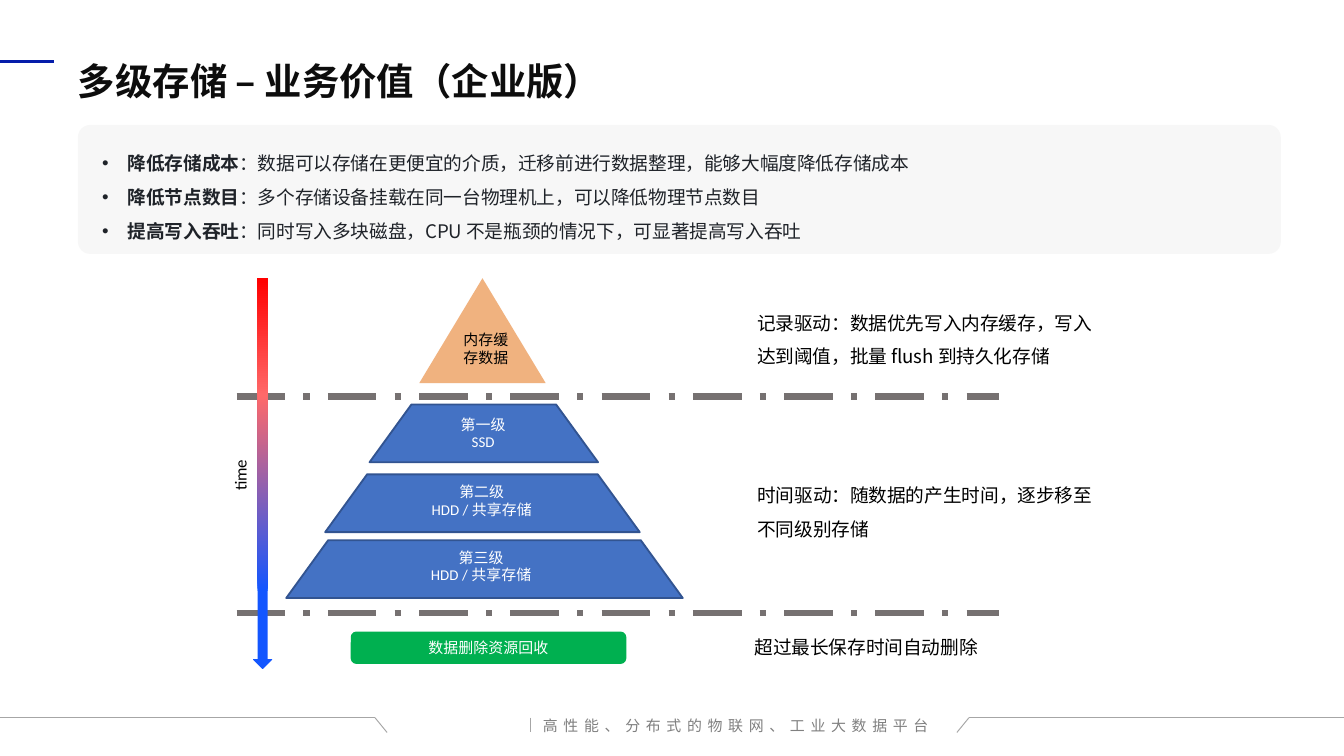
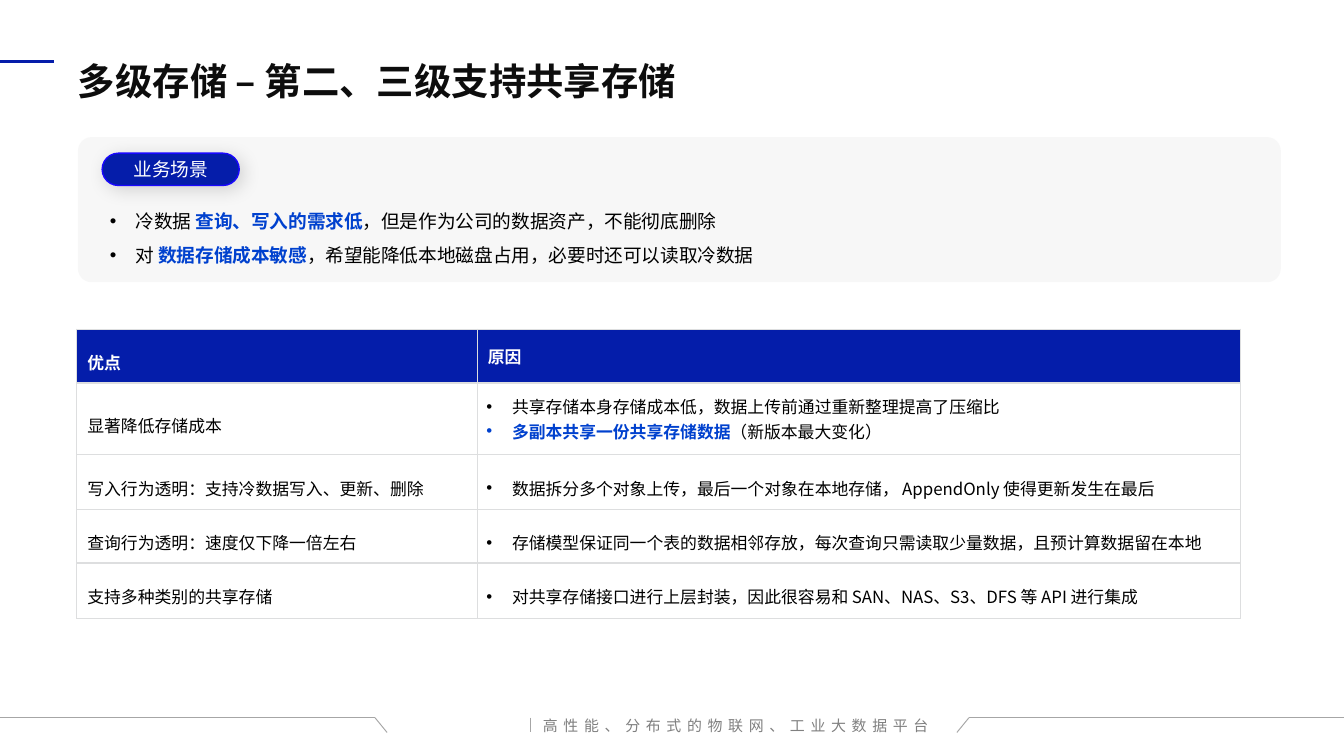
from dataclasses import dataclass
from typing import NamedTuple, Optional

from lxml import etree
from pptx import Presentation
from pptx import util as u
from pptx.dml.color import RGBColor
from pptx.enum import dml, shapes, text
from pptx.oxml.ns import qn

PX = 9144
SANS = "Noto Sans CJK SC"
LATIN = "Calibri"
NAVY = "051DAA"
ACCENT = "0041CE"
BLACK = "000000"
WHITE = "FFFFFF"
INK = "1F2329"
GREY = "A6A6A6"
KIND = shapes.MSO_SHAPE
MIDDLE = text.MSO_ANCHOR.MIDDLE
TOP = text.MSO_ANCHOR.TOP
INSETS = (10, 5, 10, 5)
NO_INSETS = (0, 0, 0, 0)


class Box(NamedTuple):
    x: int
    y: int
    w: int
    h: int


class Run(NamedTuple):
    text: str
    bold: bool = False
    color: Optional[str] = None


class Para(NamedTuple):
    runs: list[Run]
    bullet: bool = False
    spacing: Optional[float] = None


@dataclass(frozen=True)
class Style:
    size: float
    color: str = BLACK
    font: str = SANS
    center: bool = False
    tracking: int = 0


@dataclass(frozen=True)
class Tier:
    box: Box
    label_box: Box
    lines: tuple[str, ...]


BODY = Style(10)
CELL = Style(9)
LABEL = Style(8, WHITE, LATIN, center=True)


def px(n: int) -> int:
    return u.Emu(n * PX)


def rgb(color: str) -> RGBColor:
    return RGBColor.from_string(color)


def add_xml(parent, tag: str, **attrs):
    return etree.SubElement(parent, qn(tag), {k: str(v) for k, v in attrs.items()})


def plain(*lines: str, spacing: Optional[float] = None) -> list[Para]:
    return [Para([Run(line)], spacing=spacing) for line in lines]


def write(tf, paras: list[Para], style: Style) -> None:
    for i, para in enumerate(paras):
        p = tf.paragraphs[0] if i == 0 else tf.add_paragraph()
        if para.bullet:
            pPr = p._p.get_or_add_pPr()
            pPr.set("marL", str(px(19)))
            pPr.set("indent", str(-px(19)))
            add_xml(pPr, "a:buFont", typeface="Arial")
            add_xml(pPr, "a:buChar", char="•")
        p.alignment = text.PP_ALIGN.CENTER if style.center else text.PP_ALIGN.LEFT
        if para.spacing:
            p.line_spacing = para.spacing
        for run in para.runs:
            r = p.add_run()
            r.text = run.text
            r.font.size = u.Pt(style.size)
            r.font.bold = run.bold
            r.font.name = style.font
            r.font.color.rgb = rgb(run.color or style.color)
            rPr = r._r.get_or_add_rPr()
            add_xml(rPr, "a:ea", typeface=SANS)
            if style.tracking:
                rPr.set("spc", str(style.tracking * 100))


def set_margins(target, insets: tuple[int, ...]) -> None:
    target.margin_left, target.margin_top, target.margin_right, target.margin_bottom = map(px, insets)


def frame(sp, paras: list[Para], style: Style, insets=INSETS, anchor=TOP) -> None:
    tf = sp.text_frame
    tf.word_wrap = True
    tf.vertical_anchor = anchor
    set_margins(tf, insets)
    write(tf, paras, style)


def add_text(s, box: Box, paras: list[Para], style: Style, insets=INSETS):
    sp = s.shapes.add_textbox(*map(px, box))
    frame(sp, paras, style, insets)
    return sp


def add_shape(s, kind, box: Box, fill: Optional[str] = None, alpha: int = 100,
              line: Optional[str] = None, width: float = 1, adj: Optional[float] = None):
    sp = s.shapes.add_shape(kind, *map(px, box))
    sp.shadow.inherit = False
    if adj is not None:
        sp.adjustments[0] = adj
    if fill:
        sp.fill.solid()
        sp.fill.fore_color.rgb = rgb(fill)
        if alpha < 100:
            clr = sp._element.spPr.find(qn("a:solidFill"))[0]
            add_xml(clr, "a:alpha", val=alpha * 1000)
    else:
        sp.fill.background()
    if line:
        sp.line.color.rgb = rgb(line)
        sp.line.width = u.Pt(width)
    else:
        sp.line.fill.background()
    return sp


def add_line(s, x1: int, y1: int, x2: int, y2: int, color: str, width: float, dash=None) -> None:
    c = s.shapes.add_connector(shapes.MSO_CONNECTOR.STRAIGHT, *map(px, (x1, y1, x2, y2)))
    c.line.color.rgb = rgb(color)
    c.line.width = u.Pt(width)
    if dash:
        c.line.dash_style = dash
    add_xml(c._element.spPr, "a:effectLst")


def add_gradient(sp, stops: list[tuple[int, str]], angle: int) -> None:
    sp.fill.gradient()
    grad = sp._element.spPr.find(qn("a:gradFill"))
    stop_list = grad.find(qn("a:gsLst"))
    for gs in list(stop_list):
        stop_list.remove(gs)
    for pos, color in stops:
        add_xml(add_xml(stop_list, "a:gs", pos=pos * 1000), "a:srgbClr", val=color)
    grad.find(qn("a:lin")).set("ang", str(angle * 60000))


def add_shadow(sp, color: str, alpha: int, blur: int, dist: int, angle: int) -> None:
    effects = sp._element.spPr.find(qn("a:effectLst"))
    shadow = add_xml(effects, "a:outerShdw", blurRad=u.Pt(blur), dist=u.Pt(dist),
                     dir=angle * 60000, algn="tl", rotWithShape=0)
    add_xml(add_xml(shadow, "a:srgbClr", val=color), "a:alpha", val=alpha * 1000)


def add_borders(cell, color: str, width: float) -> None:
    tcPr = cell._tc.get_or_add_tcPr()
    for side in ("a:lnL", "a:lnR", "a:lnT", "a:lnB"):
        ln = add_xml(tcPr, side, w=u.Pt(width))
        add_xml(add_xml(ln, "a:solidFill"), "a:srgbClr", val=color)


def add_table(s, box: Box, cols: list[int], rows: list[int], cells: list[list[list[Para]]]) -> None:
    table = s.shapes.add_table(len(rows), len(cols), *map(px, box)).table
    table.first_row = table.horz_banding = False
    for col, w in zip(table.columns, cols):
        col.width = px(w)
    for row, h in zip(table.rows, rows):
        row.height = px(h)
    for i, line in enumerate(cells):
        for j, paras in enumerate(line):
            cell = table.cell(i, j)
            add_borders(cell, "DDDEDF", 0.75)
            if i == 0:
                cell.fill.solid()
                cell.fill.fore_color.rgb = rgb("041DAA")
            else:
                cell.fill.background()
            set_margins(cell, (7, 4, 7, 4) if i and j else (8, 0, 8, 0))
            cell.vertical_anchor = MIDDLE
            write(cell.text_frame, paras, CELL)


def add_base(prs, title: str, panel: Box):
    s = prs.slides.add_slide(prs.slide_layouts[6])
    s.background.fill.solid()
    s.background.fill.fore_color.rgb = rgb(WHITE)
    add_line(s, 40, 46, 0, 46, NAVY, 1.5)
    for edge, knee, foot in ((0, 279, 288), (1000, 721, 712)):
        add_line(s, knee, 534, edge, 534, GREY, 0.5)
        add_line(s, foot, 545, knee, 534, GREY, 0.5)
    add_text(s, Box(404, 533, 296, 22), plain("高性能、分布式的物联网、工业大数据平台"),
             Style(8, "808080", tracking=3), NO_INSETS)
    add_line(s, 395, 534, 395, 545, GREY, 0.5)
    add_shape(s, KIND.ROUNDED_RECTANGLE, panel, "D9D9D9", 20, adj=0.094)
    add_text(s, Box(58, 25, 754, 57), [Para([Run(title, True)], spacing=u.Pt(37.4))],
             Style(20, "0D0D0D"), NO_INSETS)
    return s


VALUES = [
    ("降低存储成本", "：数据可以存储在更便宜的介质，迁移前进行数据整理，能够大幅度降低存储成本"),
    ("降低节点数目", "：多个存储设备挂载在同一台物理机上，可以降低物理节点数目"),
    ("提高写入吞吐", "：同时写入多块磁盘，CPU 不是瓶颈的情况下，可显著提高写入吞吐"),
]
TIERS = [
    Tier(Box(275, 301, 170, 43), Box(329, 304, 61, 37), ("第一级SSD",)),
    Tier(Box(242, 353, 234, 43), Box(302, 354, 113, 37), ("第二级", "HDD / 共享存储")),
    Tier(Box(213, 402, 295, 43), Box(302, 403, 112, 37), ("第三级", "HDD / 共享存储")),
]
NOTES = [
    (Box(550, 213, 284, 71), "记录驱动：数据优先写入内存缓存，写入达到阈值，批量 flush 到持久化存储"),
    (Box(550, 340, 284, 74), "时间驱动：随数据的产生时间，逐步移至不同级别存储"),
    (Box(550, 461, 190, 33), "超过最长保存时间自动删除"),
]
SCENARIOS = [
    ("冷数据 ", "查询、写入的需求低", "，但是作为公司的数据资产，不能彻底删除"),
    ("对 ", "数据存储成本敏感", "，希望能降低本地磁盘占用，必要时还可以读取冷数据"),
]
BENEFITS = [
    ("写入行为透明：支持冷数据写入、更新、删除",
     "数据拆分多个对象上传，最后一个对象在本地存储， AppendOnly 使得更新发生在最后"),
    ("查询行为透明：速度仅下降一倍左右",
     "存储模型保证同一个表的数据相邻存放，每次查询只需读取少量数据，且预计算数据留在本地"),
    ("支持多种类别的共享存储",
     "对共享存储接口进行上层封装，因此很容易和 SAN、NAS、S3、DFS 等 API 进行集成"),
]


def add_value_slide(prs) -> None:
    s = add_base(prs, "多级存储 – 业务价值（企业版）", Box(58, 93, 895, 96))
    add_text(s, Box(72, 103, 746, 77),
             [Para([Run(head, True), Run(rest)], True, 1.5) for head, rest in VALUES],
             Style(10, INK), (4, 2, 4, 2))
    add_shape(s, KIND.ISOSCELES_TRIANGLE, Box(312, 207, 94, 78), "E46C0A", 52, adj=0.5)
    add_text(s, Box(331, 241, 61, 37), plain("内存缓存数据"), Style(8, BLACK, LATIN, center=True))
    for tier in TIERS:
        add_shape(s, KIND.TRAPEZOID, tier.box, "4472C4", line="325491", adj=0.726)
        add_text(s, tier.label_box, plain(*tier.lines), LABEL)
    for box, note in NOTES:
        sp = add_shape(s, KIND.ROUNDED_RECTANGLE, box)
        frame(sp, plain(note, spacing=1.5), BODY, anchor=MIDDLE)
    for y in (295, 456):
        add_line(s, 176, y, 743, y, "767171", 3.25, dml.MSO_LINE.LONG_DASH_DOT)
    time = add_text(s, Box(149, 333, 59, 25), plain("time"), Style(9, BLACK, LATIN))
    time.rotation = 270
    recycle = add_shape(s, KIND.ROUNDED_RECTANGLE, Box(261, 470, 205, 24), "00B050")
    frame(recycle, plain("数据删除资源回收"), LABEL, anchor=MIDDLE)
    arrow = add_shape(s, KIND.DOWN_ARROW, Box(188, 207, 15, 291))
    add_gradient(arrow, [(0, "1356FF"), (20, "1356FF"), (70, "FF6969"), (100, "FF0000")], 270)


def add_shared_storage_slide(prs) -> None:
    s = add_base(prs, "多级存储 – 第二、三级支持共享存储", Box(58, 102, 895, 108))
    add_text(s, Box(72, 143, 866, 58),
             [Para([Run(start), Run(key, True, ACCENT), Run(rest)], True, 1.5)
              for start, key, rest in SCENARIOS], BODY)
    cells = [
        [[Para([Run("优点", True, WHITE)], spacing=1.5)], [Para([Run("原因", True, WHITE)])]],
        [plain("显著降低存储成本", spacing=1.5),
         [Para([Run("共享存储本身存储成本低，数据上传前通过重新整理提高了压缩比")], True),
          Para([Run("多副本共享一份共享存储数据", True, ACCENT), Run("（新版本最大变化）")], True)]],
    ]
    cells += [[plain(benefit, spacing=1.5), [Para([Run(reason)], True, 1.5)]]
              for benefit, reason in BENEFITS]
    add_table(s, Box(57, 245, 866, 215), [298, 568], [40, 53, 41, 40, 41], cells)
    badge = add_shape(s, KIND.ROUNDED_RECTANGLE, Box(76, 114, 102, 24), NAVY,
                      line="1A07FF", width=0.75, adj=0.5)
    add_shadow(badge, BLACK, 15, 10, 3, 45)
    frame(badge, plain("业务场景"), Style(10, WHITE, center=True), anchor=MIDDLE)


def main() -> None:
    prs = Presentation()
    prs.slide_width = px(1000)
    prs.slide_height = u.Emu(prs.slide_width * 9 // 16)
    add_value_slide(prs)
    add_shared_storage_slide(prs)
    prs.save("out.pptx")


if __name__ == "__main__":
    main()
